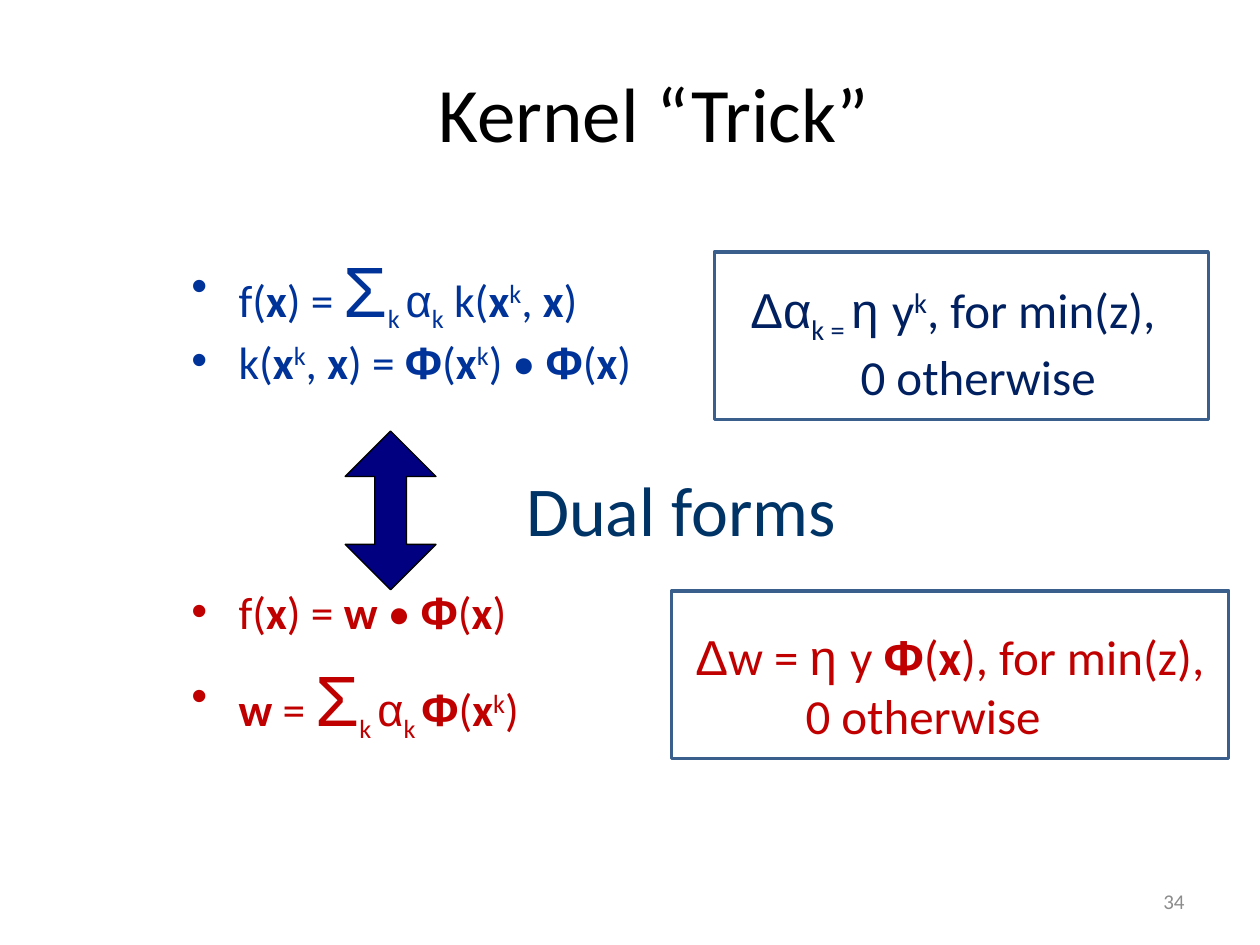
from lxml.etree import SubElement
from pptx import Presentation
from pptx.dml.color import RGBColor
from pptx.enum.shapes import MSO_SHAPE
from pptx.enum.text import MSO_ANCHOR, PP_ALIGN
from pptx.oxml.ns import qn
from pptx.util import Cm, Pt

BLUE, NAVY, RED = "003399", "002060", "C00000"
FORMATS = {
    "plain": {},
    "bold": {"bold": True},
    "greek": {"name": "Arial"},
    "vector": {"name": "Arial", "bold": True},
    "sum": {"name": "Arial", "size": Pt(40.7)},
    "sub": {"baseline": -25000},
    "sup": {"baseline": 30000},
}
X = ("x", "bold")
K_UP = ("k", "sup")
PHI = ("Φ", "vector")
PHI_X = [PHI, "(", X]
PHI_XK = [PHI, "(", X, K_UP]
KERNEL = ["k(", X, K_UP, ", ", X, ")"]
SUM_ALPHA = [("Σ", "sum"), ("k ", "sub"), ("α", "greek")]
OTHERWISE = ["0 otherwise"]


def color(code):
    return RGBColor.from_string(code)


def box(left, top, width, height):
    return [Cm(length) for length in (left, top, width, height)]


class FormulaSlide:
    """Holds the text style and the slide, and adds each kind of element."""

    def __init__(self, deck, font="Calibri"):
        self.font = font
        self.slide = deck.slides.add_slide(deck.slide_layouts[6])

    def add_runs(self, paragraph, parts, size, ink):
        for part in parts:
            text, kind = (part, "plain") if isinstance(part, str) else part
            run = paragraph.add_run()
            run.text = text
            values = {"name": self.font, "size": Pt(size), "bold": False} | FORMATS[kind]
            for key, value in values.items():
                if key == "baseline":
                    run.font._element.set("baseline", str(value))
                else:
                    setattr(run.font, key, value)
            run.font.color.rgb = color(ink)

    def text(self, place, lines, size, ink, wrap=True, **layout):
        frame = self.slide.shapes.add_textbox(*box(*place)).text_frame
        frame.word_wrap = wrap
        values = {"vertical_anchor": MSO_ANCHOR.TOP} | layout
        align = values.pop("alignment", PP_ALIGN.LEFT)
        for key, value in values.items():
            setattr(frame, key, value)
        for index, parts in enumerate(lines):
            paragraph = frame.add_paragraph() if index else frame.paragraphs[0]
            paragraph.alignment = align
            self.add_runs(paragraph, parts, size, ink)
        return frame.paragraphs

    def label(self, place, words, size, ink, alignment=PP_ALIGN.LEFT):
        self.text(place, [[words]], size, ink, alignment=alignment,
                  vertical_anchor=MSO_ANCHOR.MIDDLE)

    def bullets(self, place, lines, ink, gap):
        for index, paragraph in enumerate(self.text(place, lines, 25.9, ink)):
            paragraph.line_spacing = 0.7
            paragraph.space_before = Pt(gap if index else 0)
            properties = paragraph._p.get_or_add_pPr()
            properties.set("marL", str(Cm(0.95)))
            properties.set("indent", str(-Cm(0.95)))
            SubElement(properties, qn("a:buFont"), typeface="Arial")
            SubElement(properties, qn("a:buChar"), char="•")

    def update_rule(self, place, formula, ink):
        lines = self.text(place, [formula, OTHERWISE], 28, ink, wrap=False)
        lines[1]._p.get_or_add_pPr().set("marL", str(Cm(2.22)))

    def shape(self, kind, place, line, weight, fill=None):
        shape = self.slide.shapes.add_shape(kind, *box(*place))
        shape.shadow.inherit = False
        shape.line.color.rgb = color(line)
        shape.line.width = Pt(weight)
        if fill:
            shape.fill.solid()
            shape.fill.fore_color.rgb = color(fill)
        else:
            shape.fill.background()
        return shape


def main():
    deck = Presentation()
    deck.slide_width, deck.slide_height = Cm(25.4), Cm(19.05)
    page = FormulaSlide(deck)

    page.label((2.39, 0.66, 21.59, 3.18), "Kernel “Trick”", 44, "000000", PP_ALIGN.CENTER)
    page.bullets((3.61, 5.28, 10.5, 3), [
        ["f(", X, ") = ", *SUM_ALPHA, ("k", "sub"), " ", *KERNEL],
        [*KERNEL, " = ", *PHI_XK, ") • ", *PHI_X, ")"],
    ], BLUE, 11)
    page.bullets((3.61, 11.96, 9.5, 3.3), [
        ["f(", X, ") = ", ("w ", "bold"), "• ", *PHI_X, ")"],
        [("w", "bold"), " = ", *SUM_ALPHA, ("k ", "sub"), *PHI_XK, ")"],
    ], RED, 23)

    dual_arrow = page.shape(MSO_SHAPE.UP_DOWN_ARROW, (6.96, 8.69, 1.83, 3.2),
                            "000000", 0.75, "000080")
    dual_arrow.adjustments[1] = 0.35
    page.label((10.36, 8.66, 7.42, 3.18), "Dual forms", 40, "003366")

    page.update_rule((14.88, 5.51, 9.32, 2.64), [
        ("Δα", "greek"), ("k = ", "sub"), ("η ", "greek"), "y", K_UP, ", for min(z),",
    ], NAVY)
    page.update_rule((13.77, 12.5, 11.02, 2.64), [
        ("Δ", "greek"), "w = ", ("η ", "greek"), "y ", *PHI_X, "), for min(z),",
    ], RED)
    for frame in ((14.4, 5.08, 9.96, 3.38), (13.54, 11.91, 11.23, 3.38)):
        page.shape(MSO_SHAPE.RECTANGLE, frame, "3A5F8C", 2)

    page.label((18.21, 17.65, 5.92, 1.02), "34", 12, "8C8C8C", PP_ALIGN.RIGHT)
    deck.save("out.pptx")


if __name__ == "__main__":
    main()
